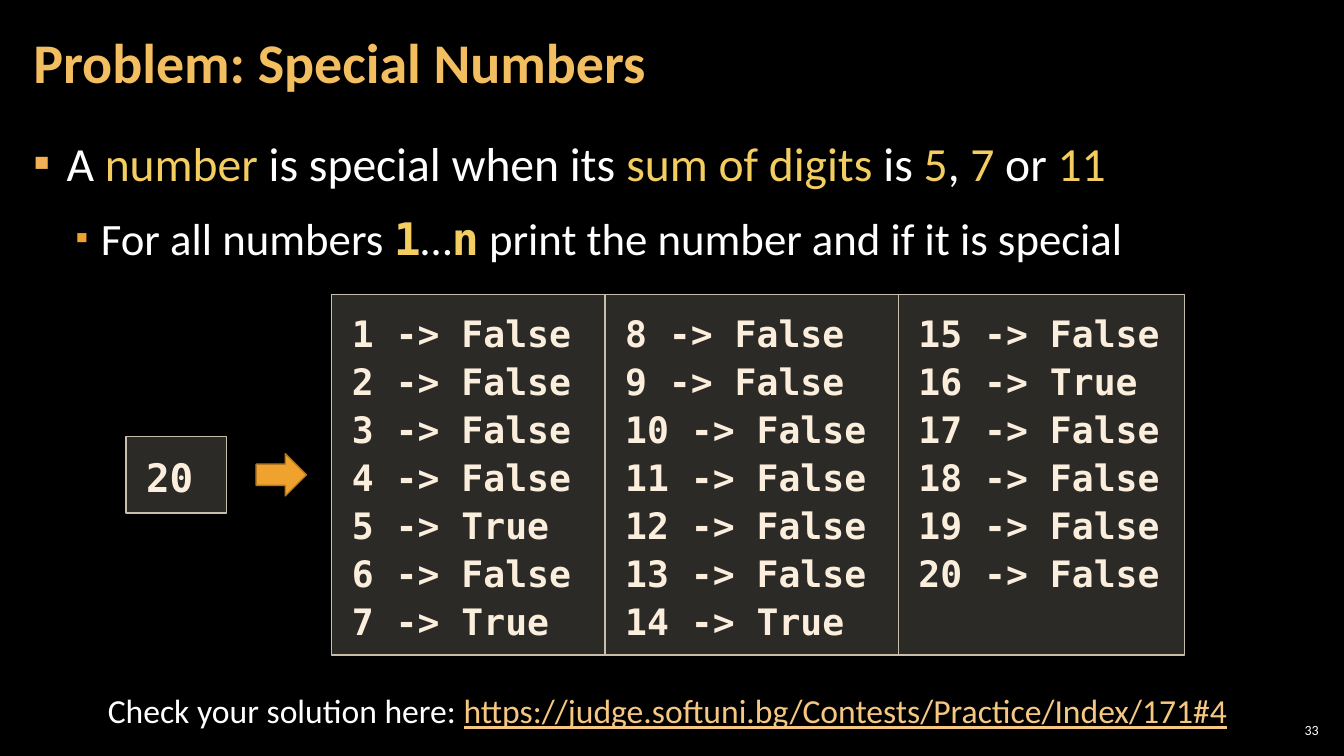
"""Builds the slide that states the Special Numbers problem."""
import dataclasses

import lxml.etree
import pptx
import pptx.dml.color
import pptx.enum.shapes
import pptx.enum.text
import pptx.oxml.ns
import pptx.util
from pptx.util import Inches

ALIGN = pptx.enum.text.PP_ALIGN
ANCHOR = pptx.enum.text.MSO_ANCHOR
SHAPE = pptx.enum.shapes.MSO_SHAPE


@dataclasses.dataclass(frozen=True)
class Theme:
    background: str = "000000"
    text: str = "FFFFFF"
    title: str = "F3BE60"
    accent: str = "F3CD60"
    link: str = "F6C781"
    code: str = "FBEEDC"
    panel: str = "D9D5C7"
    panel_line: str = "C7BFAC"
    arrow: str = "F0A22E"
    arrow_line: str = "B27822"
    bullet: str = "F2B254"
    sub_bullet: str = "F0A22E"
    sans: str = "Calibri"
    mono: str = "DejaVu Sans Mono"
    title_size: int = 40
    body_size: int = 34
    sub_size: int = 32
    input_size: int = 28
    code_size: int = 26
    note_size: int = 24
    number_size: int = 10


def rgb(value):
    return pptx.dml.color.RGBColor.from_string(value)


def add_element(parent, tag, **attributes):
    return lxml.etree.SubElement(parent, pptx.oxml.ns.qn(tag), attributes)


class SlideBuilder:
    def __init__(self, deck, theme):
        self.theme = theme
        self.slide = deck.slides.add_slide(deck.slide_layouts[5])
        fill = self.slide.background.fill
        fill.solid()
        fill.fore_color.rgb = rgb(theme.background)

    def place(self, shape, left, top, width, height):
        shape.left, shape.top = Inches(left), Inches(top)
        shape.width, shape.height = Inches(width), Inches(height)

    def frame(self, shape, inset_x=0.1, inset_y=0.05, anchor=ANCHOR.TOP):
        frame = shape.text_frame
        frame.word_wrap = True
        frame.auto_size = pptx.enum.text.MSO_AUTO_SIZE.NONE
        frame.vertical_anchor = anchor
        frame.margin_left = frame.margin_right = Inches(inset_x)
        frame.margin_top = frame.margin_bottom = Inches(inset_y)
        return frame

    def span(self, para, text, size, color, font=None, bold=False, underline=False):
        span = para.add_run()
        span.text = text
        span.font.name = font or self.theme.sans
        span.font.size = pptx.util.Pt(size)
        span.font.color.rgb = rgb(color)
        span.font.bold = bold
        span.font.underline = underline

    def title(self, text, *bounds):
        title = self.slide.shapes.title
        self.place(title, *bounds)
        para = self.frame(title, 0.12, 0.04, ANCHOR.MIDDLE).paragraphs[0]
        para.alignment = ALIGN.LEFT
        para.line_spacing = 0.9
        self.span(para, text, self.theme.title_size, self.theme.title, bold=True)

    def text_box(self, bounds, align=ALIGN.LEFT, **frame_options):
        box = self.slide.shapes.add_textbox(*map(Inches, bounds))
        frame = self.frame(box, **frame_options)
        frame.paragraphs[0].alignment = align
        return frame

    def bullet(self, para, level, indent, hanging, color, percent):
        para.level = level
        para.line_spacing = 1.05
        para.space_before = pptx.util.Pt(6 if level else 0)
        para.space_after = pptx.util.Pt(6)
        properties = para._p.get_or_add_pPr()
        properties.set("marL", str(Inches(indent)))
        properties.set("indent", str(-Inches(hanging)))
        add_element(add_element(properties, "a:buClr"), "a:srgbClr", val=color)
        add_element(properties, "a:buSzPct", val=str(percent * 1000))
        add_element(properties, "a:buFont", typeface=self.theme.sans)
        add_element(properties, "a:buChar", char="▪")

    def shape(self, kind, bounds, fill, line):
        shape = self.slide.shapes.add_shape(kind, *map(Inches, bounds))
        shape.shadow.inherit = False
        shape.fill.solid()
        shape.fill.fore_color.rgb = rgb(fill)
        shape.line.color.rgb = rgb(line)
        shape.line.width = pptx.util.Pt(1)
        return shape

    def code_panel(self, lines, size, *bounds):
        theme = self.theme
        panel = self.shape(SHAPE.RECTANGLE, bounds, theme.panel, theme.panel_line)
        color = panel._element.spPr.find(pptx.oxml.ns.qn("a:solidFill"))[0]
        add_element(color, "a:alpha", val="20000")
        frame = self.frame(panel, 0.2, 0.12)
        for index, line in enumerate(lines):
            para = frame.add_paragraph() if index else frame.paragraphs[0]
            para.alignment = ALIGN.LEFT
            para.line_spacing = 1.1
            self.span(para, line, size, theme.code, theme.mono, bold=True)


def special_line(number):
    return f"{number} -> {sum(map(int, str(number))) in (5, 7, 11)}"


def main():
    deck = pptx.Presentation()
    deck.slide_width, deck.slide_height = Inches(13.33), Inches(7.5)
    theme = Theme()
    page = SlideBuilder(deck, theme)

    number = page.text_box((12.65, 7.14, 0.47, 0.21), ALIGN.RIGHT,
                           inset_x=0.04, inset_y=0.04, anchor=ANCHOR.MIDDLE)
    page.span(number.paragraphs[0], "33", theme.number_size, theme.text)

    body = page.text_box((0.21, 1.26, 12.91, 6.09), inset_x=0.12, inset_y=0.04)
    rule = body.paragraphs[0]
    page.bullet(rule, 0, 0.33, 0.33, theme.bullet, 100)
    rule_parts = ("A ", "number ", "is special when its ", "sum of digits ",
                  "is ", "5", ", ", "7", " or ", "11")
    for index, text in enumerate(rule_parts):
        color = theme.accent if index % 2 else theme.text
        page.span(rule, text, theme.body_size, color)

    task = body.add_paragraph()
    page.bullet(task, 1, 0.67, 0.25, theme.sub_bullet, 80)
    task_parts = ("For all numbers ", "1", "…", "n",
                  " print the number and if it is special")
    for index, text in enumerate(task_parts):
        if index % 2:
            page.span(task, text, theme.sub_size, theme.accent, theme.mono, bold=True)
        else:
            page.span(task, text, theme.sub_size, theme.text)

    page.title("Problem: Special Numbers", 0.21, 0.04, 10.47, 1.21)

    page.code_panel(["20"], theme.input_size, 1.25, 4.33, 1, 0.76)
    page.shape(SHAPE.RIGHT_ARROW, (2.54, 4.5, 0.5, 0.42), theme.arrow, theme.arrow_line)
    left = 3.29
    for first, last, width in ((1, 7, 2.71), (8, 14, 2.91), (15, 20, 2.84)):
        lines = [special_line(value) for value in range(first, last + 1)]
        page.code_panel(lines, theme.code_size, left, 2.92, width, 3.58)
        left += width

    check = page.text_box((0.83, 6.8, 11.58, 0.5), ALIGN.CENTER).paragraphs[0]
    page.span(check, "Check your solution here: ", theme.note_size, theme.text)
    page.span(check, "https://judge.softuni.bg/Contests/Practice/Index/171#4",
              theme.note_size, theme.link, underline=True)

    deck.save("out.pptx")


if __name__ == "__main__":
    main()
